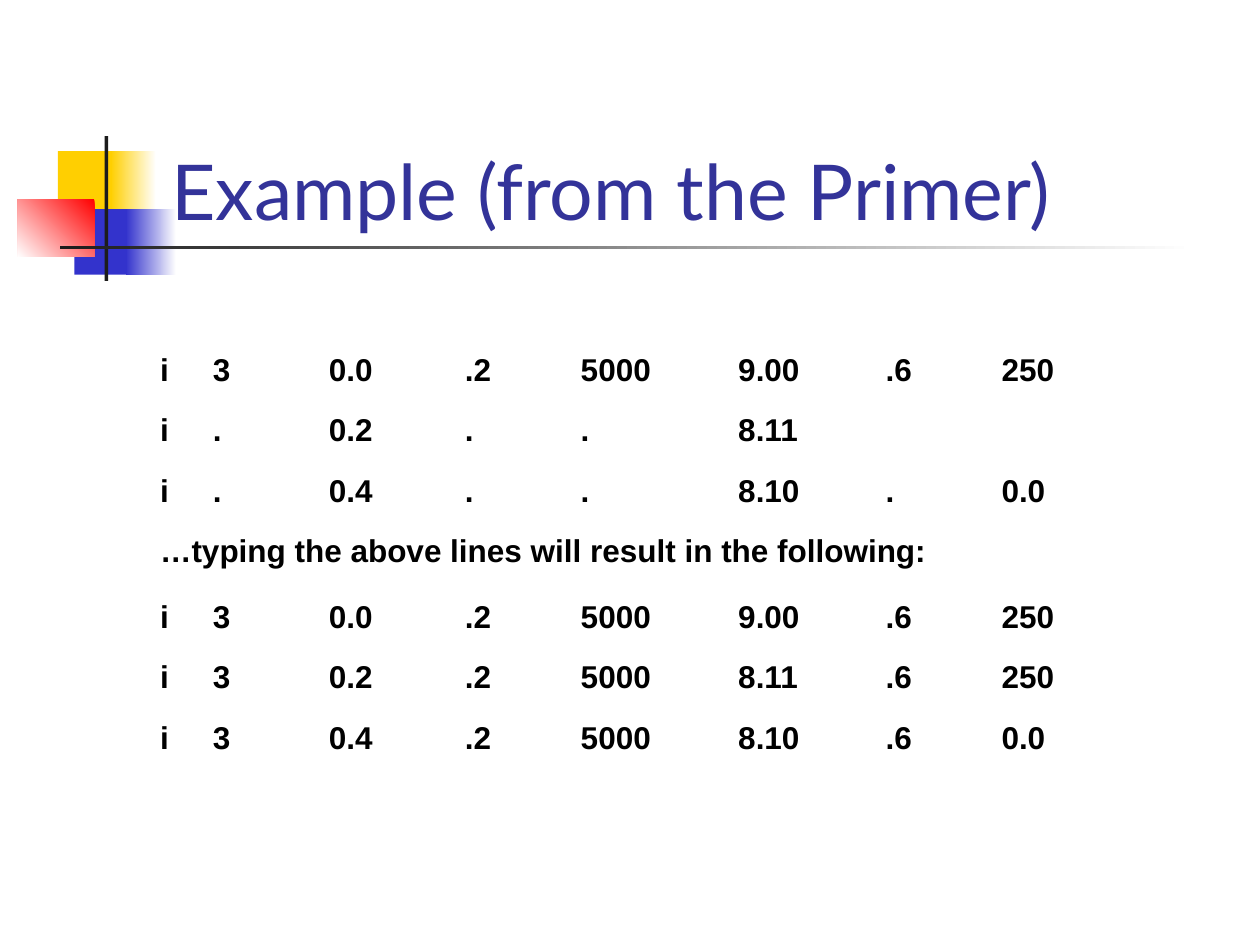
import dataclasses

import pptx
import pptx.dml.color
import pptx.enum.shapes
import pptx.enum.text
import pptx.util

Inches = pptx.util.Inches


@dataclasses.dataclass(frozen=True)
class Theme:
    title_font: str = "Lato"
    body_font: str = "Arial"
    title_size: int = 44
    body_size: int = 18
    row_gap: float = 4.5
    title: str = "333399"
    text: str = "000000"
    white: str = "FFFFFF"
    yellow: str = "FFCF01"
    blue: str = "3333CC"
    red: str = "FF0000"
    dark: str = "1C1C1C"


THEME = Theme()

COLUMN_WIDTHS = (0.42, 0.92, 1.08, 0.92, 1.25, 1.17, 0.92, 1.83)
ROW_HEIGHT = 0.48
NOTE_HEIGHT = 0.52
TYPED_LINES = (
    ("i", "3", "0.0", ".2", "5000", "9.00", ".6", "250"),
    ("i", ".", "0.2", ".", ".", "8.11", "", ""),
    ("i", ".", "0.4", ".", ".", "8.10", ".", "0.0"),
)
NOTE = ("…typing the above lines will result in the following:",)
RESULTING_LINES = (
    ("i", "3", "0.0", ".2", "5000", "9.00", ".6", "250"),
    ("i", "3", "0.2", ".2", "5000", "8.11", ".6", "250"),
    ("i", "3", "0.4", ".2", "5000", "8.10", ".6", "0.0"),
)


def rgb(value):
    return pptx.dml.color.RGBColor.from_string(value)


def write_text(frame, text, *, font, size, color, bold=False, space_before=0):
    paragraph = frame.paragraphs[0]
    paragraph.alignment = pptx.enum.text.PP_ALIGN.LEFT
    paragraph.space_before = pptx.util.Pt(space_before)
    run = paragraph.add_run()
    run.text = text
    run.font.name = font
    run.font.size = pptx.util.Pt(size)
    run.font.bold = bold
    run.font.color.rgb = rgb(color)


def add_block(slide, left, top, width, height, colors, angle=180):
    shape = slide.shapes.add_shape(
        pptx.enum.shapes.MSO_SHAPE.RECTANGLE,
        Inches(left), Inches(top), Inches(width), Inches(height),
    )
    shape.shadow.inherit = False
    shape.line.fill.background()
    if len(colors) == 1:
        shape.fill.solid()
        shape.fill.fore_color.rgb = rgb(colors[0])
        return
    shape.fill.gradient()
    shape.fill.gradient_angle = angle
    for stop, color in zip(shape.fill.gradient_stops, colors):
        stop.color.rgb = rgb(color)


def add_emblem(slide, left, top):
    add_block(slide, left + 0.32, top + 0.12, 0.48, 0.52, [THEME.yellow])
    add_block(slide, left + 0.74, top + 0.12, 0.36, 0.52, [THEME.white, THEME.yellow])
    add_block(slide, left + 0.45, top + 0.58, 0.46, 0.52, [THEME.blue])
    add_block(slide, left + 0.86, top + 0.58, 0.4, 0.52, [THEME.white, THEME.blue])
    add_block(slide, left, top + 0.5, 0.61, 0.46, [THEME.red, THEME.white], angle=225)
    add_block(slide, left + 0.69, top, 0.03, 1.15, [THEME.dark])
    add_block(slide, left + 0.34, top + 0.87, 9, 0.03, [THEME.white, THEME.dark])


def place_title(slide, text, left, top, width, height):
    title = slide.shapes.title
    title.element.getparent().append(title.element)
    title.left, title.top = Inches(left), Inches(top)
    title.width, title.height = Inches(width), Inches(height)
    frame = title.text_frame
    frame.word_wrap = True
    frame.auto_size = pptx.enum.text.MSO_AUTO_SIZE.NONE
    frame.vertical_anchor = pptx.enum.text.MSO_ANCHOR.BOTTOM
    write_text(frame, text, font=THEME.title_font, size=THEME.title_size, color=THEME.title)


def add_score_table(slide, left, top):
    rows = (*TYPED_LINES, NOTE, *RESULTING_LINES)
    heights = [NOTE_HEIGHT if row is NOTE else ROW_HEIGHT for row in rows]
    table = slide.shapes.add_table(
        len(rows), len(COLUMN_WIDTHS), Inches(left), Inches(top),
        Inches(sum(COLUMN_WIDTHS)), Inches(sum(heights)),
    ).table
    table.first_row = False
    table.horz_banding = False
    for column, width in zip(table.columns, COLUMN_WIDTHS):
        column.width = Inches(width)
    for table_row, height in zip(table.rows, heights):
        table_row.height = Inches(height)
    for cell in table.iter_cells():
        cell.fill.background()
    note_row = rows.index(NOTE)
    table.cell(note_row, 0).merge(table.cell(note_row, len(COLUMN_WIDTHS) - 1))
    for row_index, row in enumerate(rows):
        for column_index, text in enumerate(row):
            if text:
                write_text(
                    table.cell(row_index, column_index).text_frame, text,
                    font=THEME.body_font, size=THEME.body_size, color=THEME.text,
                    bold=True, space_before=THEME.row_gap,
                )


def main():
    presentation = pptx.Presentation()
    presentation.slide_width = Inches(10)
    presentation.slide_height = Inches(7.5)
    slide = presentation.slides.add_slide(presentation.slide_layouts[5])
    add_emblem(slide, 0.14, 1.08)
    place_title(slide, "Example (from the Primer)", 1.26, 0.67, 8.52, 1.25)
    add_score_table(slide, 1.17, 2.75)
    presentation.save("out.pptx")


if __name__ == "__main__":
    main()
